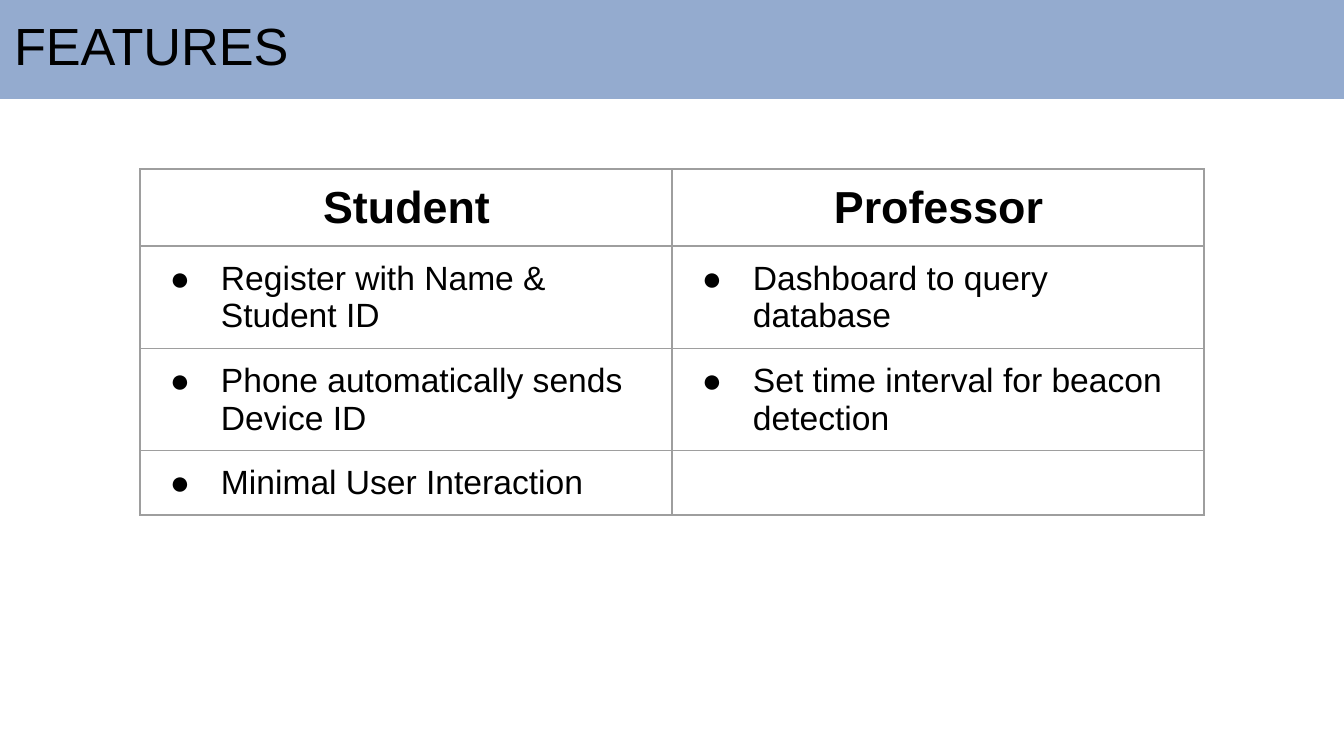
"""Builds the features slide: a title band above a two-column table."""
from dataclasses import dataclass

from lxml import etree
from pptx import Presentation
from pptx.dml.color import RGBColor
from pptx.enum.shapes import MSO_SHAPE
from pptx.enum.text import MSO_ANCHOR, MSO_AUTO_SIZE, PP_ALIGN
from pptx.oxml.ns import qn
from pptx.util import Emu, Pt

RECTANGLE = MSO_SHAPE.RECTANGLE
TOP = MSO_ANCHOR.TOP
NO_FIT = MSO_AUTO_SIZE.NONE
LEFT, CENTER = PP_ALIGN.LEFT, PP_ALIGN.CENTER
EMU_PER_PX = 914400 / 134.4


@dataclass(frozen=True)
class Theme:
    font: str = "Arial"
    text: str = "000000"
    band: str = "5378B3"
    band_alpha: int = 62
    border: str = "9E9E9E"
    border_pt: float = 0.75
    title_pt: int = 28
    heading_pt: int = 24
    body_pt: int = 18


@dataclass(frozen=True)
class Role:
    heading: str
    features: tuple[str, ...]


THEME = Theme()
ROLES = (
    Role("Student", ("Register with Name & Student ID",
                     "Phone automatically sends Device ID",
                     "Minimal User Interaction")),
    Role("Professor", ("Dashboard to query database",
                       "Set time interval for beacon detection")),
)
INSET_NEAR, INSET_FAR = 14, 13
ROW_HEIGHT, COLUMN_WIDTH = 57, 532
BULLET_MARGIN, BULLET_HANG = 67, 51


def px(n: int) -> Emu:
    return Emu(round(n * EMU_PER_PX))


def add_run(p, text: str, size: int, bold: bool = False) -> None:
    r = p.add_run()
    r.text = text
    r.font.name = THEME.font
    r.font.size = Pt(size)
    r.font.bold = bold
    r.font.color.rgb = RGBColor.from_string(THEME.text)


def add_bullet(p) -> None:
    pPr = p._p.get_or_add_pPr()
    pPr.set("marL", str(px(BULLET_MARGIN)))
    pPr.set("indent", str(-px(BULLET_HANG)))
    color = etree.SubElement(pPr, qn("a:buClr"))
    etree.SubElement(color, qn("a:srgbClr"), val=THEME.text)
    etree.SubElement(pPr, qn("a:buFont"), typeface=THEME.font)
    etree.SubElement(pPr, qn("a:buChar"), char="●")


def set_empty_font(p) -> None:
    end = etree.SubElement(p._p, qn("a:endParaRPr"), sz=str(THEME.body_pt * 100))
    etree.SubElement(end, qn("a:latin"), typeface=THEME.font)


def format_cell(cell) -> None:
    tcPr = cell._tc.get_or_add_tcPr()
    for side in ("lnL", "lnR", "lnT", "lnB"):
        ln = etree.SubElement(tcPr, qn(f"a:{side}"), w=str(Pt(THEME.border_pt)))
        fill = etree.SubElement(ln, qn("a:solidFill"))
        etree.SubElement(fill, qn("a:srgbClr"), val=THEME.border)
    cell.fill.background()
    cell.margin_left = cell.margin_top = px(INSET_NEAR)
    cell.margin_right = cell.margin_bottom = px(INSET_FAR)
    cell.vertical_anchor = TOP


def add_band(s) -> None:
    sp = s.shapes.add_shape(RECTANGLE, 0, 0, px(1344), px(99))
    sp.shadow.inherit = False
    sp.fill.solid()
    sp.fill.fore_color.rgb = RGBColor.from_string(THEME.band)
    color = sp._element.spPr.find(f".//{qn('a:srgbClr')}")
    etree.SubElement(color, qn("a:alpha"), val=str(THEME.band_alpha * 1000))
    sp.line.fill.background()
    s.shapes._spTree.insert(2, sp._element)


def set_title(s, text: str) -> None:
    sp = s.shapes.title
    sp.left, sp.top, sp.width, sp.height = px(0), px(0), px(1253), px(85)
    tf = sp.text_frame
    tf.word_wrap = True
    tf.auto_size = NO_FIT
    tf.vertical_anchor = TOP
    tf.margin_left = px(INSET_NEAR)
    tf.margin_top = tf.margin_right = tf.margin_bottom = px(INSET_FAR)
    p = tf.paragraphs[0]
    p.alignment = LEFT
    add_run(p, text, THEME.title_pt)


def add_role_table(s, roles: tuple[Role, ...]) -> None:
    rows = 1 + max(len(role.features) for role in roles)
    frame = s.shapes.add_table(rows, len(roles), px(140), px(169),
                               px(COLUMN_WIDTH * len(roles)), px(ROW_HEIGHT * rows))
    table = frame.table
    table.first_row = table.horz_banding = False
    for cell in table.iter_cells():
        format_cell(cell)
    for col, role in enumerate(roles):
        p = table.cell(0, col).text_frame.paragraphs[0]
        p.alignment = CENTER
        add_run(p, role.heading, THEME.heading_pt, bold=True)
        for row in range(1, rows):
            p = table.cell(row, col).text_frame.paragraphs[0]
            if row <= len(role.features):
                add_bullet(p)
                add_run(p, role.features[row - 1], THEME.body_pt)
            else:
                set_empty_font(p)


def main() -> None:
    prs = Presentation()
    prs.slide_width, prs.slide_height = px(1344), px(756)
    s = prs.slides.add_slide(prs.slide_layouts[5])
    add_band(s)
    set_title(s, "FEATURES")
    add_role_table(s, ROLES)
    prs.save("out.pptx")


main()
